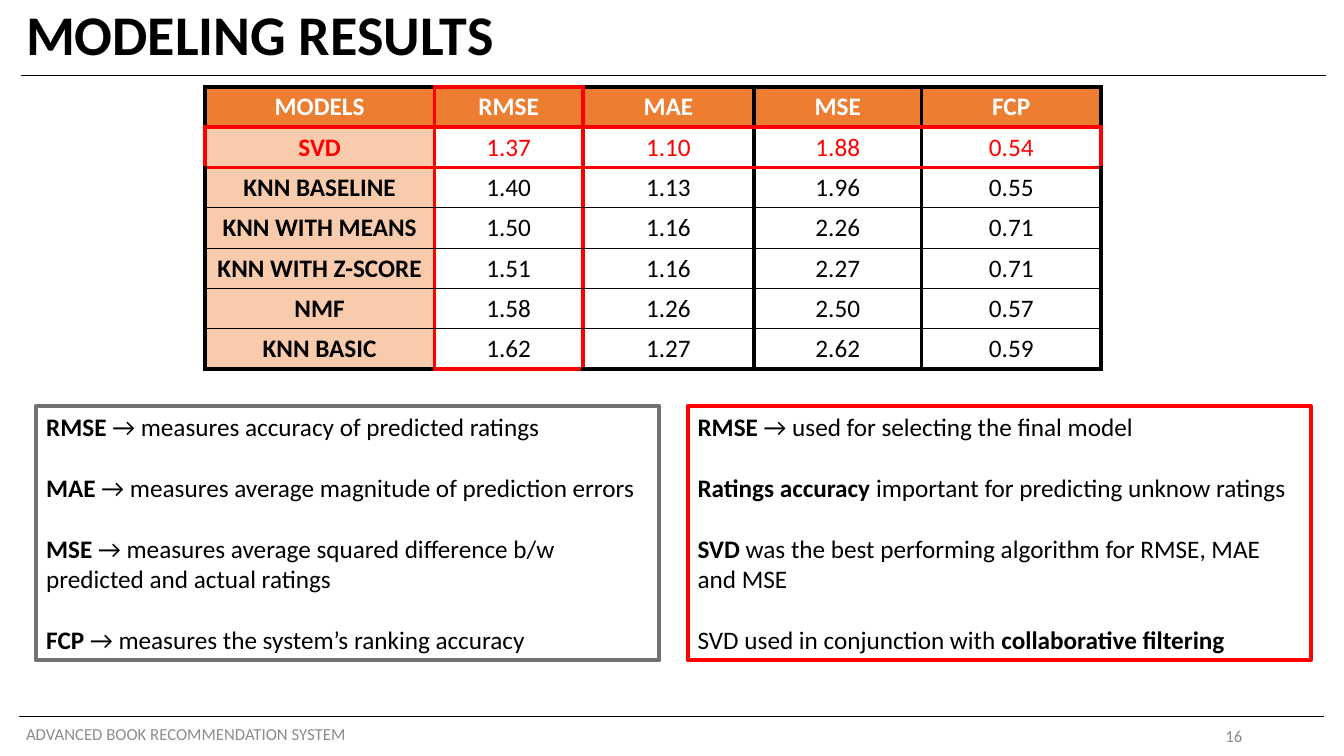
from dataclasses import dataclass

from lxml import etree
from pptx import Presentation
from pptx.dml.color import RGBColor
from pptx.enum.shapes import MSO_CONNECTOR, MSO_SHAPE
from pptx.enum.text import MSO_ANCHOR, PP_ALIGN
from pptx.oxml.ns import qn
from pptx.util import Emu, Pt

LEFT, CENTER, RIGHT = PP_ALIGN.LEFT, PP_ALIGN.CENTER, PP_ALIGN.RIGHT
TOP, MIDDLE = MSO_ANCHOR.TOP, MSO_ANCHOR.MIDDLE
RECT, STRAIGHT = MSO_SHAPE.RECTANGLE, MSO_CONNECTOR.STRAIGHT
PX = 9144  # EMU: 100 px to the inch


@dataclass(frozen=True)
class Theme:
    font: str = "Calibri"
    black: str = "000000"
    white: str = "FFFFFF"
    red: str = "FF0000"
    gray: str = "767171"
    muted: str = "8C8C8C"
    orange: str = "ED7D31"
    peach: str = "F8CBAD"
    title: int = 40
    body: int = 18
    small: int = 12
    gap: int = 22
    thick: int = 3
    thin: int = 1
    hair: float = 0.5


T = Theme()

MODELS = [
    ("MODELS", "RMSE", "MAE", "MSE", "FCP"),
    ("SVD", "1.37", "1.10", "1.88", "0.54"),
    ("KNN BASELINE", "1.40", "1.13", "1.96", "0.55"),
    ("KNN WITH MEANS", "1.50", "1.16", "2.26", "0.71"),
    ("KNN WITH Z-SCORE", "1.51", "1.16", "2.27", "0.71"),
    ("NMF", "1.58", "1.26", "2.50", "0.57"),
    ("KNN BASIC", "1.62", "1.27", "2.62", "0.59"),
]
WIDTHS = (228, 147, 170, 166, 178)
ROW_H = 40
BEST = 1  # row of the best model, and column of the deciding metric

# Each paragraph is a list of (text, bold) runs.
METRICS = [
    [("RMSE ", True), ("→ measures accuracy of predicted ratings", False)],
    [("MAE", True), (" → measures average magnitude of prediction errors", False)],
    [("MSE", True), (" → measures average squared difference b/w "
                     "predicted and actual ratings", False)],
    [("FCP", True), (" → measures the system’s ranking accuracy", False)],
]
CHOICE = [
    [("RMSE ", True), ("→ used for selecting the final model", False)],
    [("Ratings accuracy ", True),
     ("important for predicting unknow ratings", False)],
    [("SVD", True),
     (" was the best performing algorithm for RMSE, MAE and MSE", False)],
    [("SVD used in conjunction with ", False), ("collaborative filtering", True)],
]


def px(*nums):
    return [Emu(n * PX) for n in nums]


def rgb(code):
    return RGBColor.from_string(code)


def write(para, runs, size, color, align=LEFT):
    para.alignment = align
    for text, bold in runs:
        run = para.add_run()
        run.text = text
        font = run.font
        font.name, font.size, font.bold = T.font, Pt(size), bold
        font.color.rgb = rgb(color)


def label(slide, box, text, size, color, bold=False, align=LEFT):
    frame = slide.shapes.add_textbox(*px(*box)).text_frame
    frame.word_wrap = True
    frame.vertical_anchor = MIDDLE
    para = frame.paragraphs[0]
    para.line_spacing = 0.9 if size == T.title else 1.0
    write(para, [(text, bold)], size, color, align)


def rule(slide, left, top, width):
    line = slide.shapes.add_connector(
        STRAIGHT, *px(left, top, left + width, top))
    line.line.color.rgb = rgb(T.black)
    line.line.width = Pt(T.hair)
    etree.SubElement(line._element.spPr, qn("a:effectLst"))


def panel(slide, box, color, paras):
    """Draw an outlined box of spaced paragraphs."""
    shape = slide.shapes.add_shape(RECT, *px(*box))
    shape.shadow.inherit = False
    shape.fill.background()
    shape.line.color.rgb = rgb(color)
    shape.line.width = Pt(T.thick)
    frame = shape.text_frame
    frame.word_wrap = True
    frame.vertical_anchor = TOP
    for i, runs in enumerate(paras):
        para = frame.add_paragraph() if i else frame.paragraphs[0]
        if i:
            para.space_before = Pt(T.gap)
        write(para, runs, T.body, T.black)


def edge(cell, tag, color, width):
    line = etree.SubElement(cell._tc.get_or_add_tcPr(), qn("a:" + tag),
                            w=str(Pt(width)))
    fill = etree.SubElement(line, qn("a:solidFill"))
    etree.SubElement(fill, qn("a:srgbClr"), val=color)


def frame_cell(cell, row, col):
    """Ring the best row and column in red; the rest is black."""
    ring = (BEST, BEST + 1)
    for tag, x in (("lnL", col), ("lnR", col + 1)):
        hot = x in ring or (row == BEST and x in (0, len(WIDTHS)))
        edge(cell, tag, T.red if hot else T.black, T.thick)
    ends = (0, len(MODELS))
    for tag, y in (("lnT", row), ("lnB", row + 1)):
        hot = y in ring or (col == BEST and y in ends)
        edge(cell, tag, T.red if hot else T.black,
             T.thick if y in ring + ends else T.thin)


def paint(cell, row, col):
    if row and col:
        cell.fill.background()
    else:
        cell.fill.solid()
        cell.fill.fore_color.rgb = rgb(T.peach if row else T.orange)


def scores(slide, left, top):
    size = px(left, top, sum(WIDTHS), ROW_H * len(MODELS))
    table = slide.shapes.add_table(len(MODELS), len(WIDTHS), *size).table
    table.horz_banding = False
    for column, width in zip(table.columns, WIDTHS):
        column.width = Emu(width * PX)
    for r, values in enumerate(MODELS):
        color = {0: T.white, BEST: T.red}.get(r, T.black)
        for c, text in enumerate(values):
            cell = table.cell(r, c)
            cell.vertical_anchor = MIDDLE
            frame_cell(cell, r, c)
            paint(cell, r, c)
            write(cell.text_frame.paragraphs[0], [(text, r == 0 or c == 0)],
                  T.body, color, CENTER)


def main():
    deck = Presentation()
    deck.slide_width, deck.slide_height = px(1333, 750)
    slide = deck.slides.add_slide(deck.slide_layouts[6])
    label(slide, (16, 708, 450, 40), "ADVANCED BOOK RECOMMENDATION SYSTEM",
          T.small, T.muted)
    rule(slide, 19, 711, 1294)
    rule(slide, 21, 75, 1294)
    label(slide, (16, 8, 980, 59), "MODELING RESULTS", T.title, T.black, True)
    label(slide, (942, 710, 300, 40), "16", T.small, T.muted, align=RIGHT)
    scores(slide, 203, 86)
    panel(slide, (36, 403, 618, 252), T.gray, METRICS)
    panel(slide, (682, 403, 618, 252), T.red, CHOICE)
    deck.save("out.pptx")


if __name__ == "__main__":
    main()
